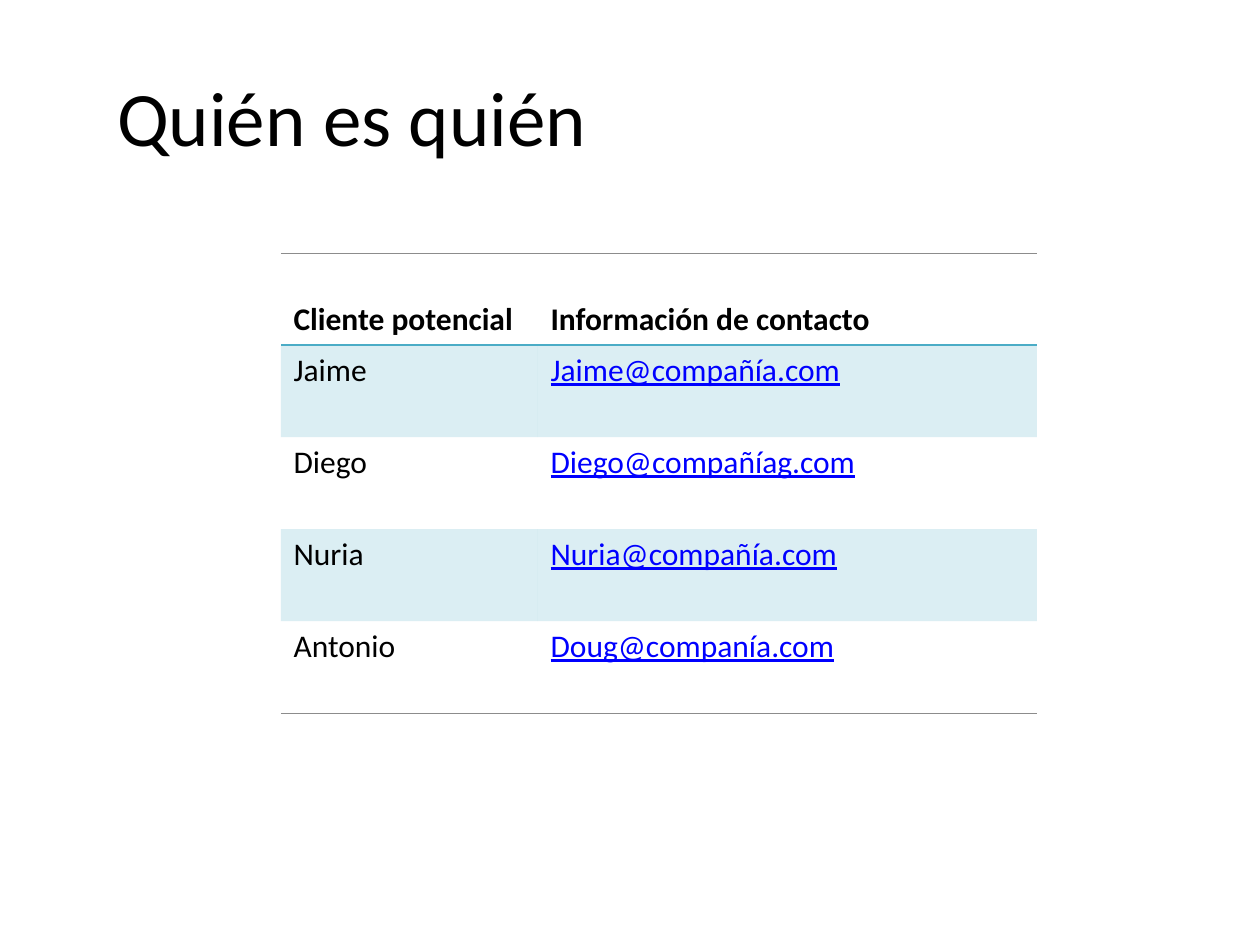
import pptx
import pptx.dml.color
import pptx.enum.text
import pptx.oxml
import pptx.oxml.ns
import pptx.util
from lxml import etree
from pptx.util import Inches

BLACK = pptx.dml.color.RGBColor(0x00, 0x00, 0x00)
LINK_BLUE = pptx.dml.color.RGBColor(0x00, 0x00, 0xFF)
TEAL = pptx.dml.color.RGBColor(0x4B, 0xAC, 0xC6)
GRAY = pptx.dml.color.RGBColor(0x8C, 0x8C, 0x8C)

HEADER = ("Cliente potencial", "Información de contacto")
CONTACTS = [
    ("Jaime", "Jaime@compañía.com"),
    ("Diego", "Diego@compañíag.com"),
    ("Nuria", "Nuria@compañía.com"),
    ("Antonio", "Doug@companía.com"),
]
COLUMN_WIDTHS = (2.04, 3.96)
ROW_HEIGHT = 0.73


class ContactSlide:
    font_name = "Calibri"

    def __init__(self, presentation):
        self.slide = presentation.slides.add_slide(presentation.slide_layouts[5])

    def add_run(self, paragraph, text, size, color=BLACK, bold=False, underline=False):
        run = paragraph.add_run()
        run.text = text
        run.font.name = self.font_name
        run.font.size = pptx.util.Pt(size)
        run.font.color.rgb = color
        run.font.bold = bold
        run.font.underline = underline

    def add_title(self, text, left, top, width, height):
        title = self.slide.shapes.title
        title.left, title.top = Inches(left), Inches(top)
        title.width, title.height = Inches(width), Inches(height)
        title.text_frame.vertical_anchor = pptx.enum.text.MSO_ANCHOR.MIDDLE
        paragraph = title.text_frame.paragraphs[0]
        paragraph.alignment = pptx.enum.text.PP_ALIGN.LEFT
        self.add_run(paragraph, text, 44)

    def set_fill(self, cell, shaded):
        if not shaded:
            cell.fill.background()
            return
        cell.fill.solid()
        cell.fill.fore_color.rgb = TEAL
        color = cell._tc.tcPr.find(".//" + pptx.oxml.ns.qn("a:srgbClr"))
        etree.SubElement(color, pptx.oxml.ns.qn("a:alpha"), val="20000")

    def set_borders(self, cell, borders):
        properties = cell._tc.get_or_add_tcPr()
        for index, side in enumerate(("L", "R", "T", "B")):
            line = etree.Element(pptx.oxml.ns.qn("a:ln" + side))
            if side in borders:
                color, width = borders[side]
                line.set("w", str(pptx.util.Pt(width)))
                fill = etree.SubElement(line, pptx.oxml.ns.qn("a:solidFill"))
                etree.SubElement(fill, pptx.oxml.ns.qn("a:srgbClr"), val=str(color))
            else:
                etree.SubElement(line, pptx.oxml.ns.qn("a:noFill"))
            properties.insert(index, line)

    def add_contact_table(self, left, top):
        rows = [HEADER] + CONTACTS
        table = self.slide.shapes.add_table(
            len(rows), len(HEADER), Inches(left), Inches(top),
            Inches(sum(COLUMN_WIDTHS)), Inches(ROW_HEIGHT * len(rows)),
        ).table
        table.first_row = False
        table.horz_banding = False
        for column, width in zip(table.columns, COLUMN_WIDTHS):
            column.width = Inches(width)
        borders_by_row = {
            0: {"T": (GRAY, 0.5), "B": (TEAL, 1)},
            1: {"T": (TEAL, 1)},
            len(rows) - 1: {"B": (GRAY, 0.5)},
        }
        for row_index, texts in enumerate(rows):
            table.rows[row_index].height = Inches(ROW_HEIGHT)
            is_header = row_index == 0
            for column_index, text in enumerate(texts):
                cell = table.cell(row_index, column_index)
                is_address = column_index == 1 and not is_header
                if is_header:
                    cell.vertical_anchor = pptx.enum.text.MSO_ANCHOR.BOTTOM
                self.add_run(
                    cell.text_frame.paragraphs[0], text, 18,
                    LINK_BLUE if is_address else BLACK, is_header, is_address,
                )
                self.set_fill(cell, row_index % 2 == 1)
                self.set_borders(cell, borders_by_row.get(row_index, {}))


def main():
    presentation = pptx.Presentation()
    presentation.slide_width = Inches(10)
    presentation.slide_height = Inches(7.5)
    contact_slide = ContactSlide(presentation)
    contact_slide.add_title("Quién es quién", 0.83, 0.29, 8.83, 1.25)
    contact_slide.add_contact_table(2.23, 2.01)
    presentation.save("out.pptx")


if __name__ == "__main__":
    main()
